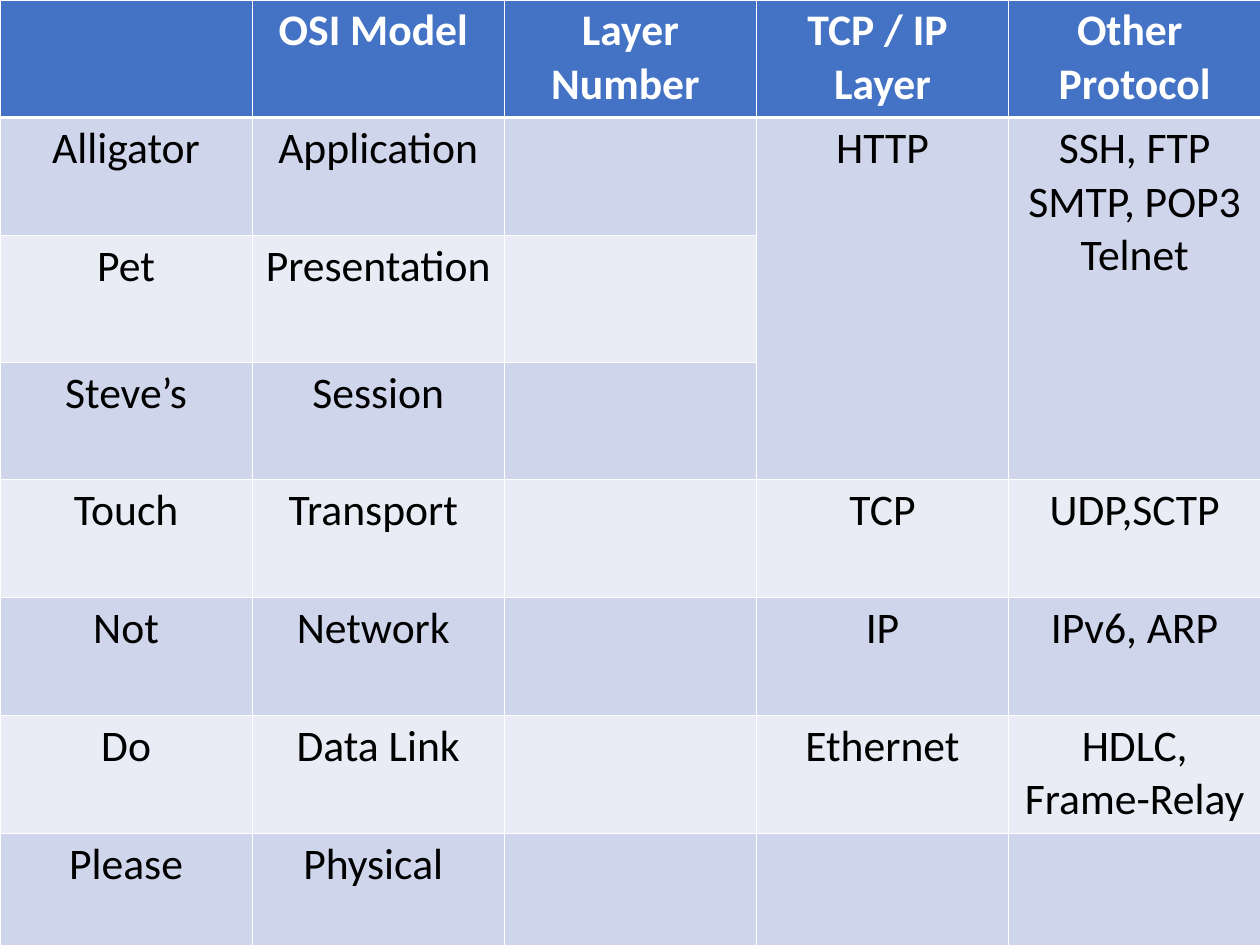
import pptx
import pptx.dml.color
import pptx.enum.text
import pptx.oxml
import pptx.oxml.ns
import pptx.util

PX = 9144  # 100 px to the inch
WIDE, HIGH = 1444, 1083
COL = 289
HEIGHTS = [135, 135, 145, 135, 135, 135, 135, 135]
COLORS = {"head": "4472C4", "dark": "CFD5EA", "light": "E9EBF5",
          "white": "FFFFFF", "black": "000000"}
ROWS = [
    ["", "OSI Model ", "Layer\nNumber ", "TCP / IP \nLayer", "Other \nProtocol"],
    ["Alligator", "Application", "", "HTTP", "SSH, FTP\nSMTP, POP3\nTelnet"],
    ["Pet", "Presentation", "", "", ""],
    ["Steve’s", "Session", "", "", ""],
    ["Touch", "Transport ", "", "TCP", "UDP,SCTP"],
    ["Not", "Network ", "", "IP", "IPv6, ARP"],
    ["Do", "Data Link", "", "Ethernet", "HDLC, Frame-Relay"],
    ["Please", "Physical ", "", "", ""],
]
FONT = {"name": "Calibri", "size": pptx.util.Pt(36)}


def rgb(name):
    return pptx.dml.color.RGBColor.from_string(COLORS[name])


def add_edge(cell, side, points):
    """Draw a white border on one side (L, R, T or B) of a cell."""
    line = pptx.oxml.parse_xml(
        f'<a:ln{side} {pptx.oxml.ns.nsdecls("a")} w="{points * 12700}">'
        f'<a:solidFill><a:srgbClr val="{COLORS["white"]}"/></a:solidFill>'
        f'</a:ln{side}>')
    cell._tc.get_or_add_tcPr().append(line)


deck = pptx.Presentation()
deck.slide_width, deck.slide_height = WIDE * PX, HIGH * PX
slide = deck.slides.add_slide(deck.slide_layouts[6])

frame = slide.shapes.add_table(len(ROWS), len(ROWS[0]), 0, 0,
                               COL * len(ROWS[0]) * PX, sum(HEIGHTS) * PX)
table = frame.table
for column in table.columns:
    column.width = COL * PX
for row, height in zip(table.rows, HEIGHTS):
    row.height = height * PX
for c in (3, 4):
    table.cell(1, c).merge(table.cell(3, c))

for r, texts in enumerate(ROWS):
    head = r == 0
    fill = "head" if head else "dark" if r % 2 else "light"
    for c, text in enumerate(texts):
        cell = table.cell(r, c)
        edges = {"L": 1, "R": 1, "T": 3 if r == 1 else 1, "B": 3 if head else 1}
        for side, points in edges.items():
            add_edge(cell, side, points)
        cell.fill.solid()
        cell.fill.fore_color.rgb = rgb(fill)
        if not text:
            continue
        cell.text = text
        for line in cell.text_frame.paragraphs:
            line.alignment = pptx.enum.text.PP_ALIGN.CENTER
            for run in line.runs:
                for key, value in {**FONT, "bold": head}.items():
                    setattr(run.font, key, value)
                run.font.color.rgb = rgb("white" if head else "black")

deck.save("out.pptx")
